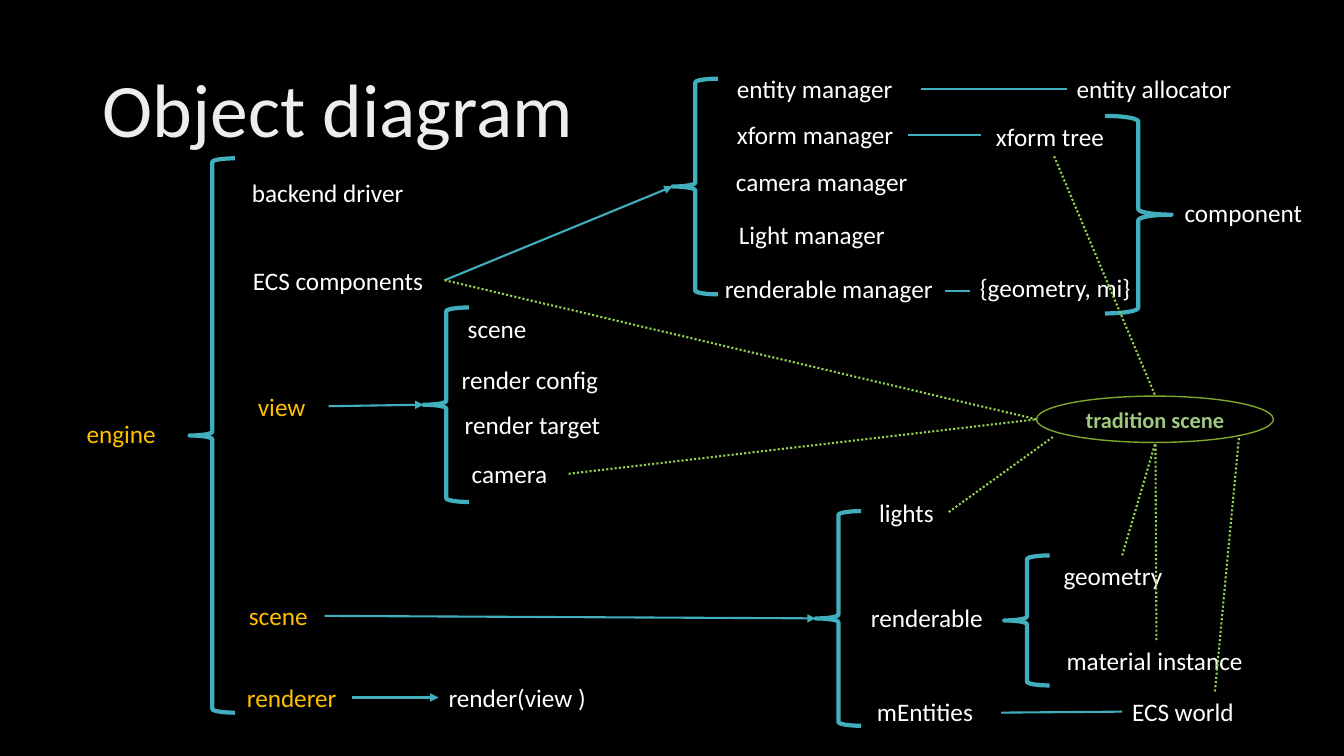
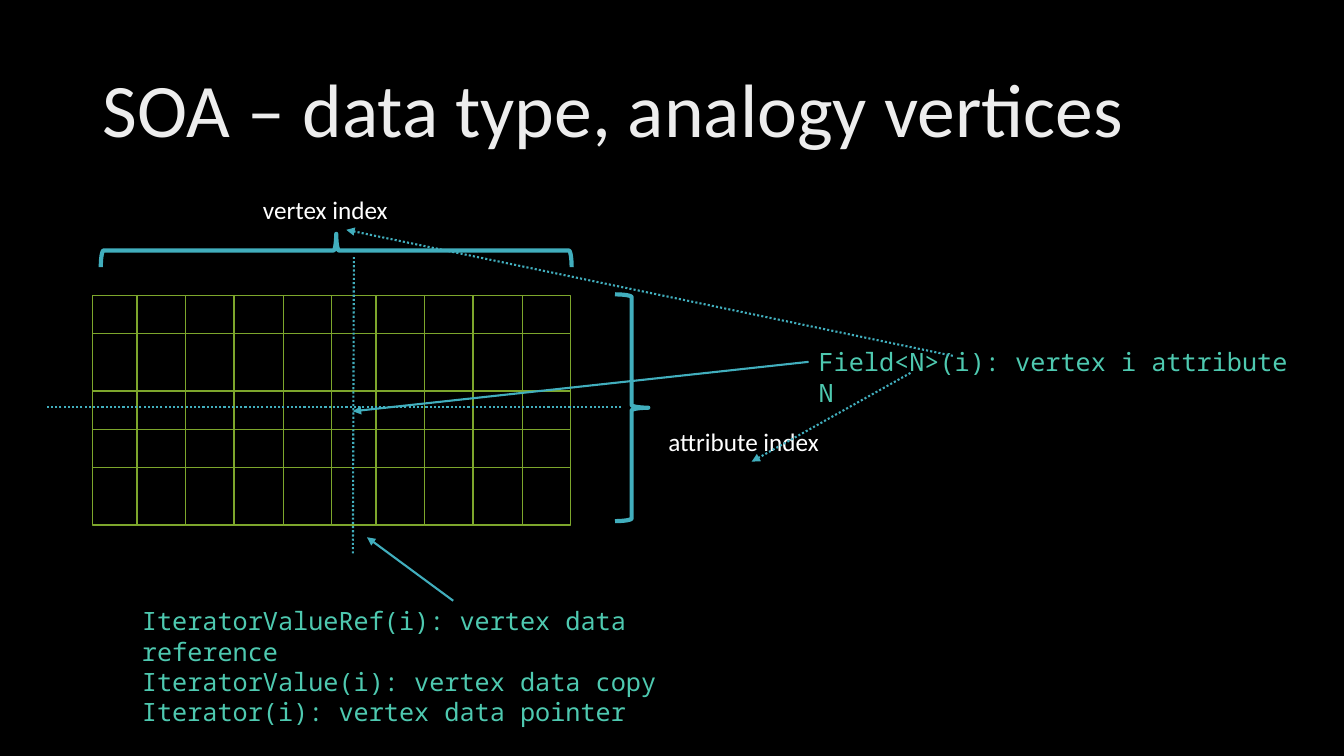
import lxml.etree
import pptx
import pptx.dml.color
import pptx.enum.dml
import pptx.enum.shapes
import pptx.enum.text
import pptx.oxml.ns
import pptx.shapes.base
import pptx.util

Inches = pptx.util.Inches
Pt = pptx.util.Pt
RGBColor = pptx.dml.color.RGBColor
SHAPE = pptx.enum.shapes.MSO_SHAPE
qn = pptx.oxml.ns.qn

BLACK = RGBColor(0x00, 0x00, 0x00)
WHITE = RGBColor(0xFF, 0xFF, 0xFF)
TITLE_GREY = RGBColor(0xED, 0xED, 0xED)
AMBER = RGBColor(0xFF, 0xC0, 0x00)
TEAL = RGBColor(0x41, 0xAE, 0xBD)
LIME = RGBColor(0x92, 0xD0, 0x50)
OLIVE = RGBColor(0x7D, 0xA6, 0x2C)
SAGE = RGBColor(0x9E, 0xC8, 0x7E)
CODE_GREEN = RGBColor(0x4E, 0xC9, 0xB0)

SANS = "Calibri"
MONO = "Noto Sans Mono"
TOP, LEFT, BOTTOM, RIGHT = range(4)


class Deck:
    """Holds the shared style and the slide being drawn."""

    def __init__(self):
        self.prs = pptx.Presentation()
        self.prs.slide_width = Inches(13.33)
        self.prs.slide_height = Inches(7.5)
        fill = self.prs.slide_master.background.fill
        fill.solid()
        fill.fore_color.rgb = BLACK
        self.s = None

    def run(self, p, text, size, color, font=SANS, bold=False):
        r = p.add_run()
        r.text = text
        r.font.name = font
        r.font.size = Pt(size)
        r.font.bold = bold
        r.font.color.rgb = color

    def slide(self, title):
        self.s = self.prs.slides.add_slide(self.prs.slide_layouts[5])
        sp = self.s.shapes.title
        sp.left, sp.top = Inches(0.92), Inches(0.4)
        sp.width, sp.height = Inches(11.5), Inches(1.45)
        tf = sp.text_frame
        tf.auto_size = pptx.enum.text.MSO_AUTO_SIZE.NONE
        tf.vertical_anchor = pptx.enum.text.MSO_ANCHOR.MIDDLE
        p = tf.paragraphs[0]
        p.alignment = pptx.enum.text.PP_ALIGN.LEFT
        p.line_spacing = 0.9
        self.run(p, title, 54, TITLE_GREY)

    def label(self, text, x, y, w, color=WHITE, font=SANS, h=0.4):
        sp = self.s.shapes.add_textbox(Inches(x), Inches(y), Inches(w), Inches(h))
        tf = sp.text_frame
        tf.word_wrap = True
        tf.auto_size = pptx.enum.text.MSO_AUTO_SIZE.SHAPE_TO_FIT_TEXT
        for i, line in enumerate(text.split("\n")):
            p = tf.add_paragraph() if i else tf.paragraphs[0]
            self.run(p, line, 18, color, font)
        return sp

    def outline(self, kind, x, y, w, h, color, weight, shapes=None):
        shapes = self.s.shapes if shapes is None else shapes
        sp = shapes.add_shape(kind, Inches(x), Inches(y), Inches(w), Inches(h))
        sp.shadow.inherit = False
        sp.fill.background()
        sp.line.color.rgb = color
        sp.line.width = Pt(weight)
        return sp

    def brace(self, x, y, w, h, rotation=180):
        sp = self.outline(SHAPE.RIGHT_BRACE, x, y, w, h, TEAL, 3)
        sp.rotation = rotation
        return sp

    def oval(self, text, x, y, w, h):
        sp = self.outline(SHAPE.OVAL, x, y, w, h, OLIVE, 1)
        tf = sp.text_frame
        tf.word_wrap = True
        tf.vertical_anchor = pptx.enum.text.MSO_ANCHOR.MIDDLE
        p = tf.paragraphs[0]
        p.alignment = pptx.enum.text.PP_ALIGN.CENTER
        self.run(p, text, 16, SAGE, bold=True)

    def grid(self, x, y, widths, heights):
        shapes = self.s.shapes.add_group_shape().shapes
        for row, h in enumerate(heights):
            for col, w in enumerate(widths):
                self.outline(SHAPE.RECTANGLE, x + sum(widths[:col]),
                             y + sum(heights[:row]), w, h, OLIVE, 1, shapes)

    def link(self, start, end, color=TEAL, dotted=False, arrow=False):
        """Each end is (x, y) in inches or (shape, side)."""
        cx = self.s.shapes.add_connector(
            pptx.enum.shapes.MSO_CONNECTOR.STRAIGHT, 0, 0, 0, 0)
        # Free ends first, so that joined ends are placed last
        if isinstance(start[0], pptx.shapes.base.BaseShape):
            cx.begin_connect(*start)
        else:
            cx.begin_x, cx.begin_y = Inches(start[0]), Inches(start[1])
        if isinstance(end[0], pptx.shapes.base.BaseShape):
            cx.end_connect(*end)
        else:
            cx.end_x, cx.end_y = Inches(end[0]), Inches(end[1])
        cx.line.color.rgb = color
        cx.line.width = Pt(1.5)
        if dotted:
            cx.line.dash_style = pptx.enum.dml.MSO_LINE.ROUND_DOT
        pr = cx._element.spPr
        if arrow:
            tail = lxml.etree.SubElement(pr.find(qn("a:ln")), qn("a:tailEnd"))
            tail.set("type", "triangle")
        lxml.etree.SubElement(pr, qn("a:effectLst"))


def object_diagram(d):
    d.slide("Object diagram")

    # Engine and its parts
    d.label("engine", 0.76, 4.1, 1.01, AMBER)
    d.brace(1.88, 1.57, 0.45, 5.5)
    d.label("backend driver", 2.4, 1.71, 1.79)
    ecs = d.label("ECS components", 2.41, 2.58, 2)
    view = d.label("view", 2.46, 3.83, 0.8, AMBER)
    scene = d.label("scene", 2.37, 5.91, 0.85, AMBER)
    renderer = d.label("renderer", 2.35, 6.72, 1.14, AMBER)
    render_call = d.label("render(view )", 4.35, 6.72, 2.01)

    # Managers
    managers = d.brace(6.67, 0.78, 0.45, 2.14)
    entity = d.label("entity manager", 7.21, 0.68, 1.92)
    d.label("xform manager", 7.21, 1.13, 1.92)
    d.label("camera manager", 7.2, 1.6, 2.07)
    d.label("Light manager", 7.23, 2.13, 1.92)
    d.label("renderable manager", 7.09, 2.66, 2.66)
    allocator = d.label("entity allocator", 10.58, 0.68, 1.84)
    xform_tree = d.label("xform tree", 9.78, 1.15, 1.35)
    d.label("{geometry, mi}", 9.62, 2.65, 1.76)
    d.brace(10.96, 1.15, 0.66, 1.96, rotation=0)
    d.label("component", 11.65, 1.91, 1.46)

    # View
    view_parts = d.brace(4.2, 3.05, 0.45, 1.93)
    d.label("scene", 4.54, 3.06, 1.74)
    d.label("render config", 4.48, 3.57, 1.74)
    d.label("render target", 4.51, 4.01, 1.74)
    camera = d.label("camera", 4.58, 4.5, 1.06)

    # Scene
    scene_parts = d.brace(8.09, 5.07, 0.45, 2.13)
    lights = d.label("lights", 8.62, 4.88, 0.79)
    d.label("renderable", 8.54, 5.93, 1.36)
    d.label("mEntities", 8.6, 6.86, 1.36)
    d.brace(9.96, 5.51, 0.45, 1.29)
    geometry = d.label("geometry", 10.45, 5.51, 1.36)
    material = d.label("material instance", 10.48, 6.35, 1.98)
    world = d.label("ECS world", 11.13, 6.86, 1.84)
    d.oval("tradition scene", 10.28, 3.93, 2.35, 0.46)

    # Arrows from a part to what it holds
    for part, held in ((ecs, managers), (view, view_parts),
                       (scene, scene_parts), (renderer, render_call)):
        d.link((part, RIGHT), (held, LEFT), arrow=True)

    # Plain links
    d.link((entity, RIGHT), (allocator, LEFT))
    d.link((9.01, 1.34), (9.73, 1.34))
    d.link((9.37, 2.89), (9.62, 2.89))
    d.link((9.93, 7.07), (world, LEFT))

    # Dotted links to the traditional scene
    for part, side, end in ((ecs, RIGHT, (10.28, 4.16)),
                            (camera, RIGHT, (10.28, 4.16)),
                            (lights, RIGHT, (10.45, 4.33)),
                            (geometry, TOP, (11.46, 4.39)),
                            (material, TOP, (11.46, 4.39)),
                            (xform_tree, BOTTOM, (11.46, 3.93)),
                            (world, TOP, (12.29, 4.32))):
        d.link((part, side), end, LIME, dotted=True)


def soa(d):
    d.slide("SOA – data type, analogy vertices")

    # Vertex data grid with its two axes
    d.grid(0.92, 2.93, [0.44, 0.48, 0.48, 0.49, 0.48] * 2,
           [0.38, 0.57, 0.38, 0.38, 0.57])
    d.link((6.16, 4.04), (0.45, 4.04), dotted=True)
    d.link((3.5, 5.49), (3.51, 2.55), dotted=True)
    d.brace(6.1, 2.92, 0.33, 2.25, rotation=0)
    d.brace(3.17, 0.15, 0.33, 4.67, rotation=270)
    attribute = d.label("attribute index", 6.53, 4.18, 1.85)
    vertex = d.label("vertex index", 2.51, 1.88, 1.85)

    # Accessors
    iterators = d.label("IteratorValueRef(i): vertex data reference\n"
                        "IteratorValue(i): vertex data copy\n"
                        "Iterator(i): vertex data pointer",
                        1.31, 5.96, 6.37, CODE_GREEN, MONO, h=1.01)
    field = d.label("Field<N>(i): vertex i attribute N",
                    8.02, 3.39, 4.89, CODE_GREEN, MONO)
    d.link((9.03, 3.7), (attribute, BOTTOM), dotted=True, arrow=True)
    d.link((9.45, 3.53), (vertex, BOTTOM), dotted=True, arrow=True)
    d.link((field, LEFT), (3.5, 4.08), arrow=True)
    d.link((iterators, TOP), (3.64, 5.33), arrow=True)


def main():
    d = Deck()
    object_diagram(d)
    soa(d)
    d.prs.save("out.pptx")


if __name__ == "__main__":
    main()
